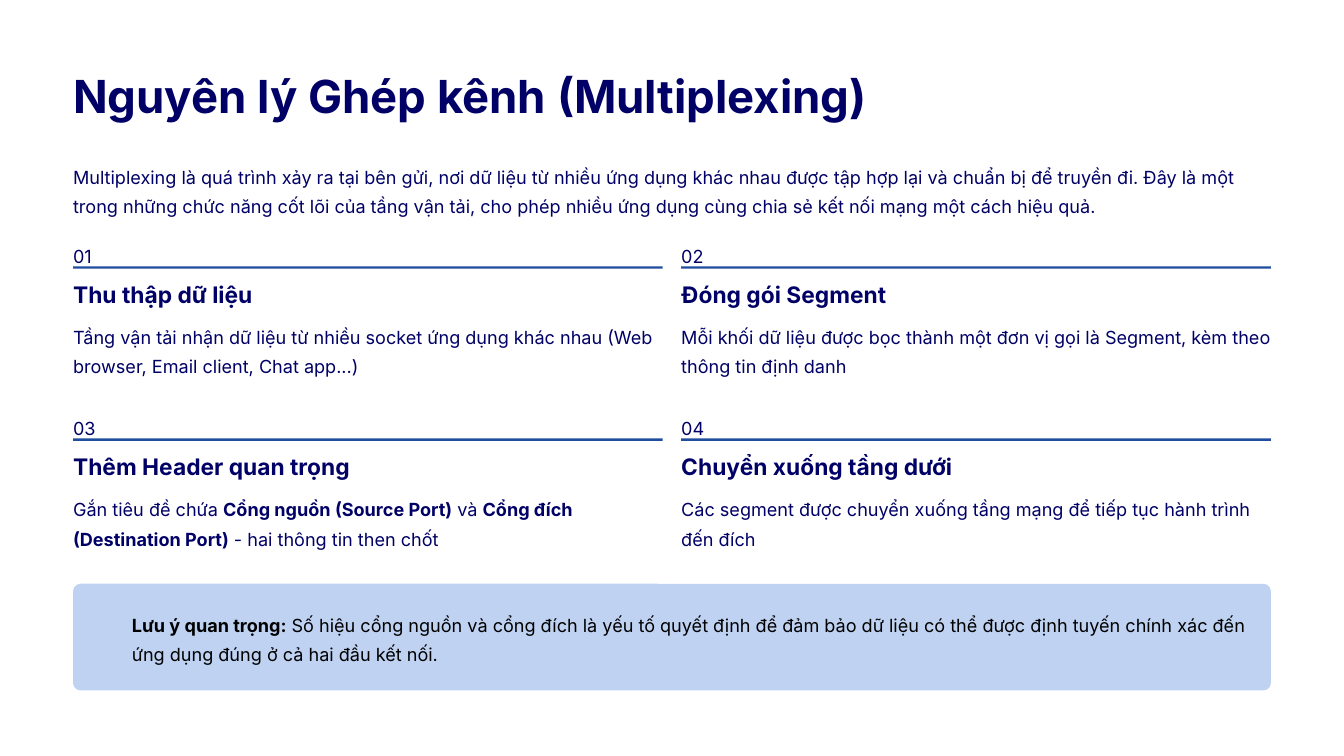
from pptx import Presentation
from pptx.dml.color import RGBColor
from pptx.enum.shapes import MSO_SHAPE
from pptx.util import Pt

RECTANGLE = MSO_SHAPE.RECTANGLE
ROUNDED = MSO_SHAPE.ROUNDED_RECTANGLE

FONT = "Inter"
NAVY, BLUE, PALE_BLUE, BLACK = "000066", "1F4E9E", "BFD2F2", "000000"

# Layout in points
MARGIN, CONTENT_WIDTH = 62.64, 1026.72
STEP_WIDTH, STEP_PITCH = 505.44, 521.28
STEPS_TOP, ROW_PITCH = 203.76, 147.6

# Each body is a list of (text, bold) runs
STEPS = [
    ("Thu thập dữ liệu",
     [("Tầng vận tải nhận dữ liệu từ nhiều socket ứng dụng khác nhau "
       "(Web browser, Email client, Chat app...)", False)]),
    ("Đóng gói Segment",
     [("Mỗi khối dữ liệu được bọc thành một đơn vị gọi là Segment, "
       "kèm theo thông tin định danh", False)]),
    ("Thêm Header quan trọng",
     [("Gắn tiêu đề chứa ", False), ("Cổng nguồn (Source Port)", True),
      (" và ", False), ("Cổng đích (Destination Port)", True),
      (" - hai thông tin then chốt", False)]),
    ("Chuyển xuống tầng dưới",
     [("Các segment được chuyển xuống tầng mạng để tiếp tục hành trình "
       "đến đích", False)]),
]


def color(value):
    return RGBColor.from_string(value)


def add_text(slide, left, top, width, height, runs, size=15.5, spacing=25,
             ink=NAVY):
    box = slide.shapes.add_textbox(Pt(left), Pt(top), Pt(width), Pt(height))
    frame = box.text_frame
    frame.word_wrap = True
    frame.margin_left = frame.margin_right = 0
    frame.margin_top = frame.margin_bottom = 0
    paragraph = frame.paragraphs[0]
    paragraph.line_spacing = Pt(spacing)
    paragraph.font.name = FONT
    paragraph.font.size = Pt(size)
    paragraph.font.color.rgb = color(ink)
    for text, bold in runs:
        run = paragraph.add_run()
        run.text = text
        run.font.bold = bold


def add_block(slide, kind, left, top, width, height, fill):
    block = slide.shapes.add_shape(kind, Pt(left), Pt(top), Pt(width), Pt(height))
    block.shadow.inherit = False
    block.fill.solid()
    block.fill.fore_color.rgb = color(fill)
    block.line.fill.background()
    return block


def add_step(slide, index, heading, body):
    row, column = divmod(index, 2)
    left = MARGIN + column * STEP_PITCH
    top = STEPS_TOP + row * ROW_PITCH
    add_text(slide, left, top, STEP_WIDTH, 19.44, [(f"{index + 1:02}", False)])
    add_block(slide, RECTANGLE, left, top + 24.48, STEP_WIDTH, 2.16, BLUE)
    add_text(slide, left, top + 36, STEP_WIDTH, 24.48, [(heading, True)],
             size=19.5, spacing=24)
    add_text(slide, left, top + 69.84, STEP_WIDTH, 49.68, body)


def main():
    prs = Presentation()
    prs.slide_width, prs.slide_height = Pt(1152), Pt(648)
    slide = prs.slides.add_slide(prs.slide_layouts[6])

    # Title and introduction
    add_text(slide, MARGIN, 56.16, CONTENT_WIDTH, 48.96,
             [("Nguyên lý Ghép kênh (Multiplexing)", True)],
             size=39, spacing=48.5)
    add_text(slide, MARGIN, 136.08, CONTENT_WIDTH, 49.68,
             [("Multiplexing là quá trình xảy ra tại bên gửi, nơi dữ liệu từ "
               "nhiều ứng dụng khác nhau được tập hợp lại và chuẩn bị để "
               "truyền đi. Đây là một trong những chức năng cốt lõi của tầng "
               "vận tải, cho phép nhiều ứng dụng cùng chia sẻ kết nối mạng "
               "một cách hiệu quả.", False)])

    # Four numbered steps
    for index, (heading, body) in enumerate(STEPS):
        add_step(slide, index, heading, body)

    # Important note
    note = add_block(slide, ROUNDED, MARGIN, 500.4, CONTENT_WIDTH, 91.44, PALE_BLUE)
    note.adjustments[0] = 0.07
    add_text(slide, 113.04, 519.84, 960.48, 49.68,
             [("Lưu ý quan trọng:", True),
              (" Số hiệu cổng nguồn và cổng đích là yếu tố quyết định để đảm "
               "bảo dữ liệu có thể được định tuyến chính xác đến ứng dụng "
               "đúng ở cả hai đầu kết nối.", False)], ink=BLACK)

    prs.save("out.pptx")


if __name__ == "__main__":
    main()
